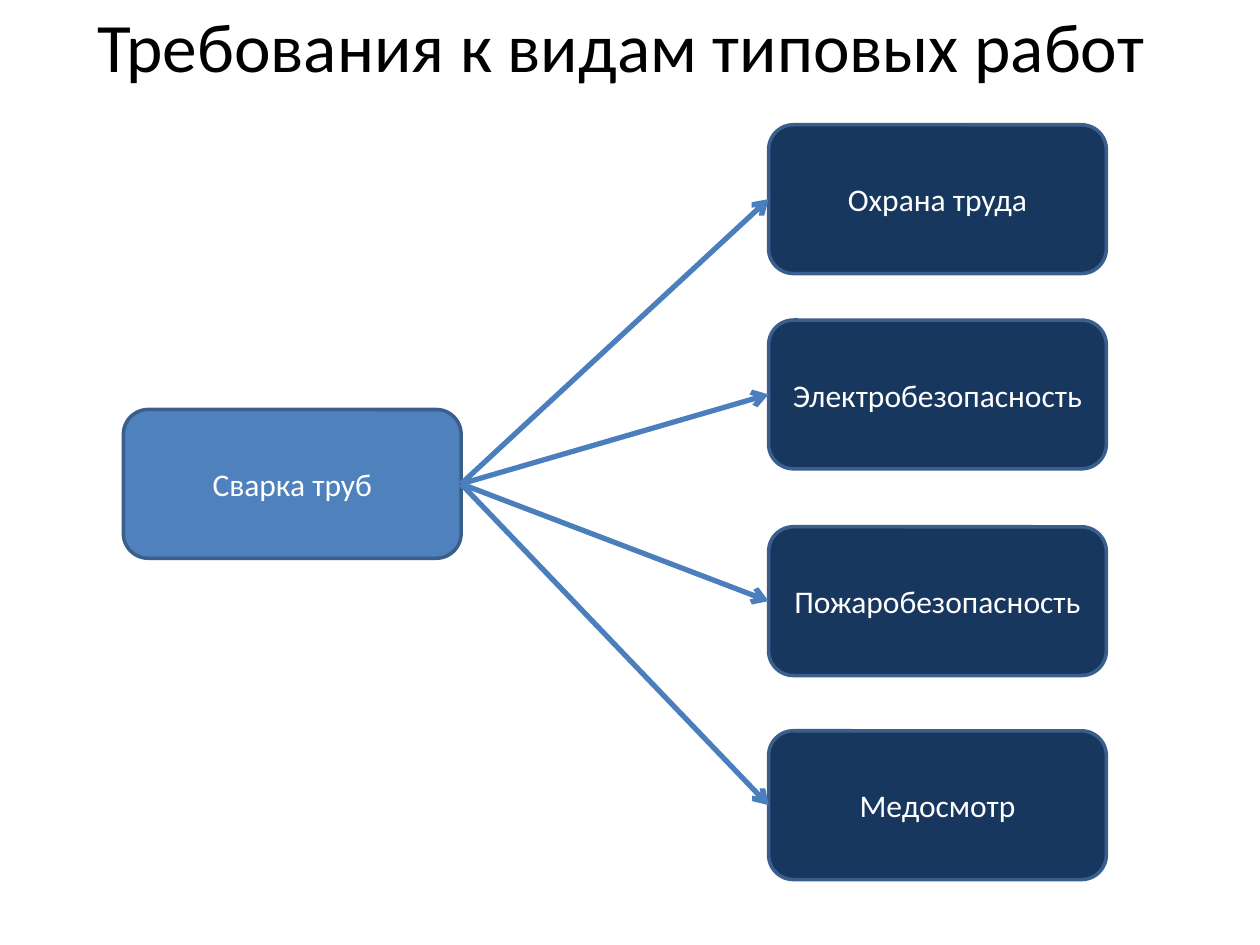
import dataclasses

import lxml.etree
import pptx
import pptx.dml.color
import pptx.enum.shapes
import pptx.enum.text
import pptx.oxml.ns
import pptx.util

Pt = pptx.util.Pt
RGB = pptx.dml.color.RGBColor.from_string
qn = pptx.oxml.ns.qn


@dataclasses.dataclass(frozen=True)
class Theme:
    font: str = "Calibri"
    title_size: float = 39.6
    box_size: float = 18
    title: str = "000000"
    box_text: str = "FFFFFF"
    work: str = "4F81BD"
    requirement: str = "17375E"
    border: str = "3A5F8C"
    arrow: str = "4B7EBC"


THEME = Theme()

# Box geometry in points
BOX_W, BOX_H = 193, 85
WORK_LEFT, WORK_TOP = 70.5, 234
REQUIREMENT_LEFT = 439.2
REQUIREMENTS = [
    ("Охрана труда", 71.3),
    ("Электробезопасность", 182.9),
    ("Пожаробезопасность", 301),
    ("Медосмотр", 417.6),
]

# Connection sites of a rounded rectangle
LEFT_SITE, RIGHT_SITE = 1, 3


def write_text(sp, text, size, color):
    tf = sp.text_frame
    tf.word_wrap = True
    tf.vertical_anchor = pptx.enum.text.MSO_ANCHOR.MIDDLE
    p = tf.paragraphs[0]
    p.alignment = pptx.enum.text.PP_ALIGN.CENTER
    r = p.add_run()
    r.text = text
    r.font.name = THEME.font
    r.font.size = Pt(size)
    r.font.color.rgb = RGB(color)


def add_title(s, text):
    sp = s.shapes.add_textbox(Pt(31), Pt(2.2), Pt(648), Pt(46.8))
    write_text(sp, text, THEME.title_size, THEME.title)


def add_box(s, text, left, top, fill):
    sp = s.shapes.add_shape(
        pptx.enum.shapes.MSO_SHAPE.ROUNDED_RECTANGLE,
        Pt(left), Pt(top), Pt(BOX_W), Pt(BOX_H))
    sp.shadow.inherit = False
    sp.fill.solid()
    sp.fill.fore_color.rgb = RGB(fill)
    sp.line.color.rgb = RGB(THEME.border)
    sp.line.width = Pt(2)
    write_text(sp, text, THEME.box_size, THEME.box_text)
    return sp


def add_arrow(s, source, target):
    cxn = s.shapes.add_connector(
        pptx.enum.shapes.MSO_CONNECTOR.STRAIGHT, 0, 0, 0, 0)
    cxn.begin_connect(source, RIGHT_SITE)
    cxn.end_connect(target, LEFT_SITE)
    cxn.line.color.rgb = RGB(THEME.arrow)
    cxn.line.width = Pt(3)
    # Open arrowhead at the target, no shadow
    ln = cxn.line._get_or_add_ln()
    lxml.etree.SubElement(ln, qn("a:tailEnd"), type="arrow")
    lxml.etree.SubElement(cxn._element.spPr, qn("a:effectLst"))


def main():
    prs = pptx.Presentation()
    prs.slide_width, prs.slide_height = Pt(720), Pt(540)
    s = prs.slides.add_slide(prs.slide_layouts[6])

    add_title(s, "Требования к видам типовых работ")

    # One kind of work leads to each of its requirements
    work = add_box(s, "Сварка труб", WORK_LEFT, WORK_TOP, THEME.work)
    for text, top in REQUIREMENTS:
        requirement = add_box(s, text, REQUIREMENT_LEFT, top, THEME.requirement)
        add_arrow(s, work, requirement)

    prs.save("out.pptx")


if __name__ == "__main__":
    main()
